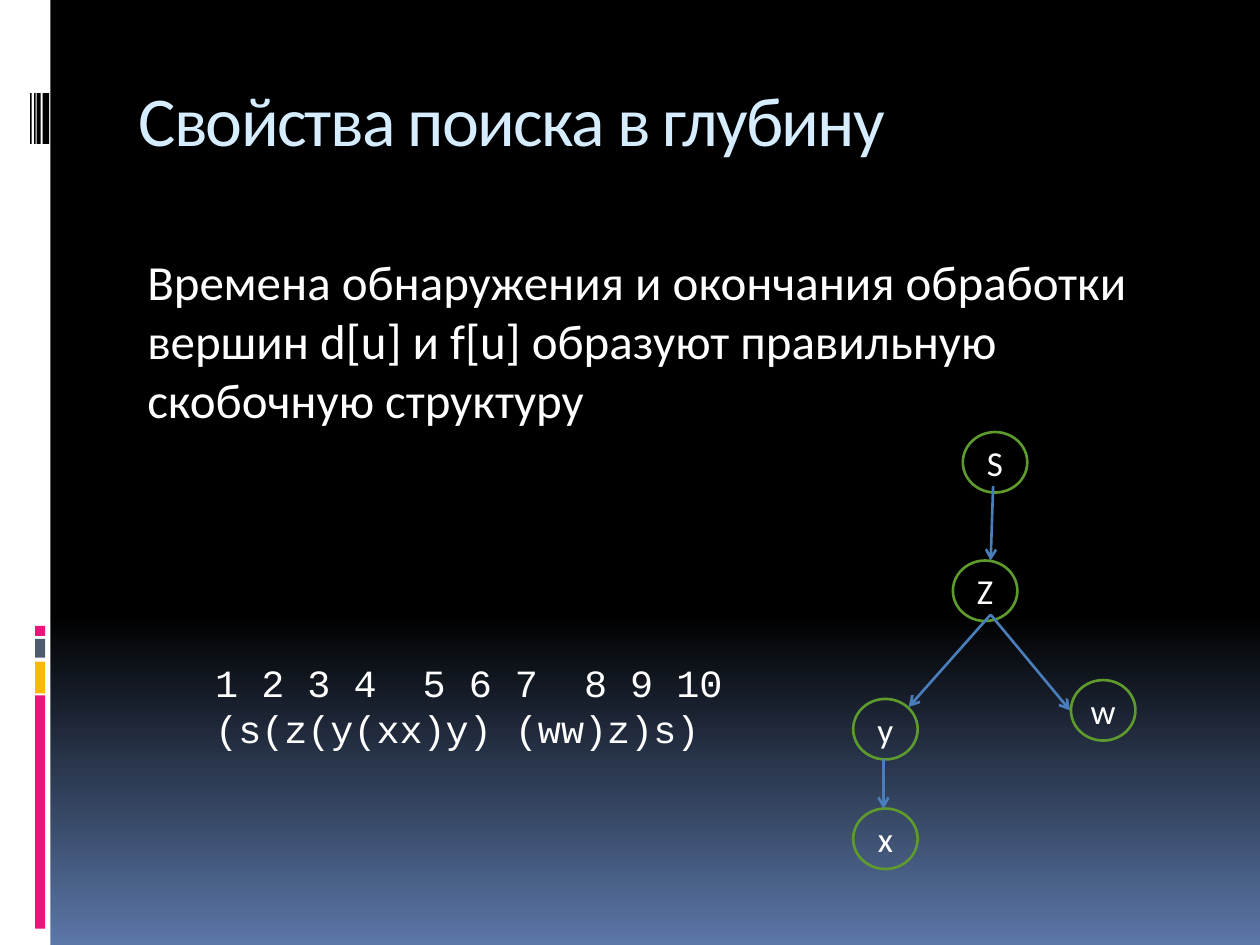
import pptx
import pptx.dml.color
import pptx.enum.shapes
import pptx.enum.text
import pptx.oxml
import pptx.oxml.ns
import pptx.util
import copy

Cm = pptx.util.Cm
Pt = pptx.util.Pt
RGBColor = pptx.dml.color.RGBColor
Shapes = pptx.enum.shapes.MSO_SHAPE
Anchor = pptx.enum.text.MSO_ANCHOR
Align = pptx.enum.text.PP_ALIGN

BLACK = RGBColor(0x00, 0x00, 0x00)
WHITE = RGBColor(0xFF, 0xFF, 0xFF)
DUSK = RGBColor(0x5B, 0x77, 0xA8)
PINK = RGBColor(0xEA, 0x15, 0x7A)
AMBER = RGBColor(0xFE, 0xB8, 0x0A)
SLATE = RGBColor(0x4E, 0x5B, 0x6F)
PALE_BLUE = RGBColor(0xD6, 0xEC, 0xFF)
GREEN = RGBColor(0x5E, 0x9B, 0x2C)
EDGE_BLUE = RGBColor(0x4A, 0x7E, 0xBB)


def paint_background(slide):
    """Fill the slide with black fading to blue at the bottom."""
    fill = slide.background.fill
    fill.gradient()
    fill.gradient_angle = 270
    stop_list = slide.element.find(".//" + pptx.oxml.ns.qn("a:gsLst"))
    stop_list.append(copy.deepcopy(stop_list[-1]))
    stops = zip(fill.gradient_stops, (0, 0.65, 1), (BLACK, BLACK, DUSK))
    for stop, position, color in stops:
        stop.position = position
        stop.color.rgb = color


def add_run(paragraph, text, size, color, font="Calibri"):
    """Append one formatted run and return it."""
    run = paragraph.add_run()
    run.text = text
    run.font.size = Pt(size)
    run.font.name = font
    run.font.color.rgb = color
    return run


def add_bar(slide, left, top, width, height, color):
    """Draw a plain filled rectangle."""
    bar = slide.shapes.add_shape(
        Shapes.RECTANGLE, Cm(left), Cm(top), Cm(width), Cm(height))
    bar.shadow.inherit = False
    bar.fill.solid()
    bar.fill.fore_color.rgb = color
    bar.line.fill.background()


def add_side_strip(slide, left, top, width, height):
    """Draw the white strip with its coloured blocks and barcode."""
    add_bar(slide, left, top, width, height, WHITE)
    blocks = ((14.02, 4.7, PINK), (13.34, 0.64, AMBER),
              (12.88, 0.38, SLATE), (12.62, 0.2, PINK))
    for offset, length, color in blocks:
        add_bar(slide, left + 0.71, top + offset, 0.2, length, color)
    for offset, thickness in ((0.86, 0.13), (0.74, 0.08), (0.69, 0.03), (0.61, 0.03)):
        add_bar(slide, left + offset, top + 1.88, thickness, 1.02, BLACK)


def add_title(slide, left, top, width, height, text):
    """Place and format the title placeholder."""
    title = slide.shapes.title
    title.left, title.top, title.width, title.height = map(
        Cm, (left, top, width, height))
    title.text_frame.vertical_anchor = Anchor.TOP
    title.text_frame.word_wrap = True
    paragraph = title.text_frame.paragraphs[0]
    paragraph.alignment = Align.LEFT
    run = add_run(paragraph, text, 40, PALE_BLUE)
    run.font._element.set("spc", "-100")


def add_text(slide, left, top, width, height, lines, size, font="Calibri", indent=0):
    """Place a wrapped white text box with one paragraph per line."""
    box = slide.shapes.add_textbox(Cm(left), Cm(top), Cm(width), Cm(height))
    frame = box.text_frame
    frame.word_wrap = True
    for index, line in enumerate(lines):
        paragraph = frame.add_paragraph() if index else frame.paragraphs[0]
        paragraph._p.get_or_add_pPr().set("marL", str(Cm(indent)))
        add_run(paragraph, line, size, WHITE, font)


def add_vertex(slide, left, top, label):
    """Draw a labelled green circle of the tree."""
    vertex = slide.shapes.add_shape(
        Shapes.OVAL, Cm(left), Cm(top), Cm(1.3), Cm(1.22))
    vertex.shadow.inherit = False
    vertex.fill.background()
    vertex.line.color.rgb = GREEN
    vertex.line.width = Pt(1.5)
    frame = vertex.text_frame
    frame.margin_left = frame.margin_right = 0
    frame.margin_top = frame.margin_bottom = 0
    frame.vertical_anchor = Anchor.MIDDLE
    frame.word_wrap = False
    frame.paragraphs[0].alignment = Align.CENTER
    add_run(frame.paragraphs[0], label, 20, WHITE)


def add_edge(slide, start_x, start_y, end_x, end_y):
    """Draw a blue arrow from a parent to its child."""
    edge = slide.shapes.add_connector(
        pptx.enum.shapes.MSO_CONNECTOR.STRAIGHT,
        Cm(start_x), Cm(start_y), Cm(end_x), Cm(end_y))
    edge.line.color.rgb = EDGE_BLUE
    edge.line.width = Pt(1.5)
    head = pptx.oxml.parse_xml(
        f'<a:tailEnd {pptx.oxml.ns.nsdecls("a")} type="arrow"/>')
    edge.line._get_or_add_ln().append(head)
    edge._element.spPr.append(pptx.oxml.parse_xml(
        f'<a:effectLst {pptx.oxml.ns.nsdecls("a")}/>'))


def add_search_tree(slide, left, top):
    """Draw the depth-first search tree."""
    vertices = {"S": (2.21, 0), "Z": (2.01, 2.59), "y": (0, 5.38),
                "x": (0, 7.59), "w": (4.39, 5)}
    for label, (x, y) in vertices.items():
        add_vertex(slide, left + x, top + y, label)
    edges = ((0.61, 6.6, 0.61, 7.59), (2.82, 1.09, 2.77, 2.59),
             (2.77, 3.68, 4.37, 5.61), (2.77, 3.68, 1.12, 5.54))
    for x1, y1, x2, y2 in edges:
        add_edge(slide, left + x1, top + y1, left + x2, top + y2)


def main():
    """Build and save the slide."""
    deck = pptx.Presentation()
    deck.slide_width, deck.slide_height = Cm(25.4), Cm(19.05)
    slide = deck.slides.add_slide(deck.slide_layouts.get_by_name("Title Only"))
    paint_background(slide)
    add_side_strip(slide, 0, 0, 1.02, 19.05)
    add_title(slide, 2.54, 1.42, 21.59, 2.54, "Свойства поиска в глубину")
    add_text(slide, 2.54, 4.95, 21.59, 12.7,
             ["Времена обнаружения и окончания обработки вершин d[u] и f[u] "
              "образуют правильную скобочную структуру"], 28, indent=0.18)
    add_search_tree(slide, 17.2, 8.71)
    add_text(slide, 4.09, 13.16, 11.61, 3,
             ["1 2 3 4  5 6 7  8 9 10", "(s(z(y(xx)y) (ww)z)s)"],
             22, "Courier New")
    deck.save("out.pptx")


if __name__ == "__main__":
    main()
